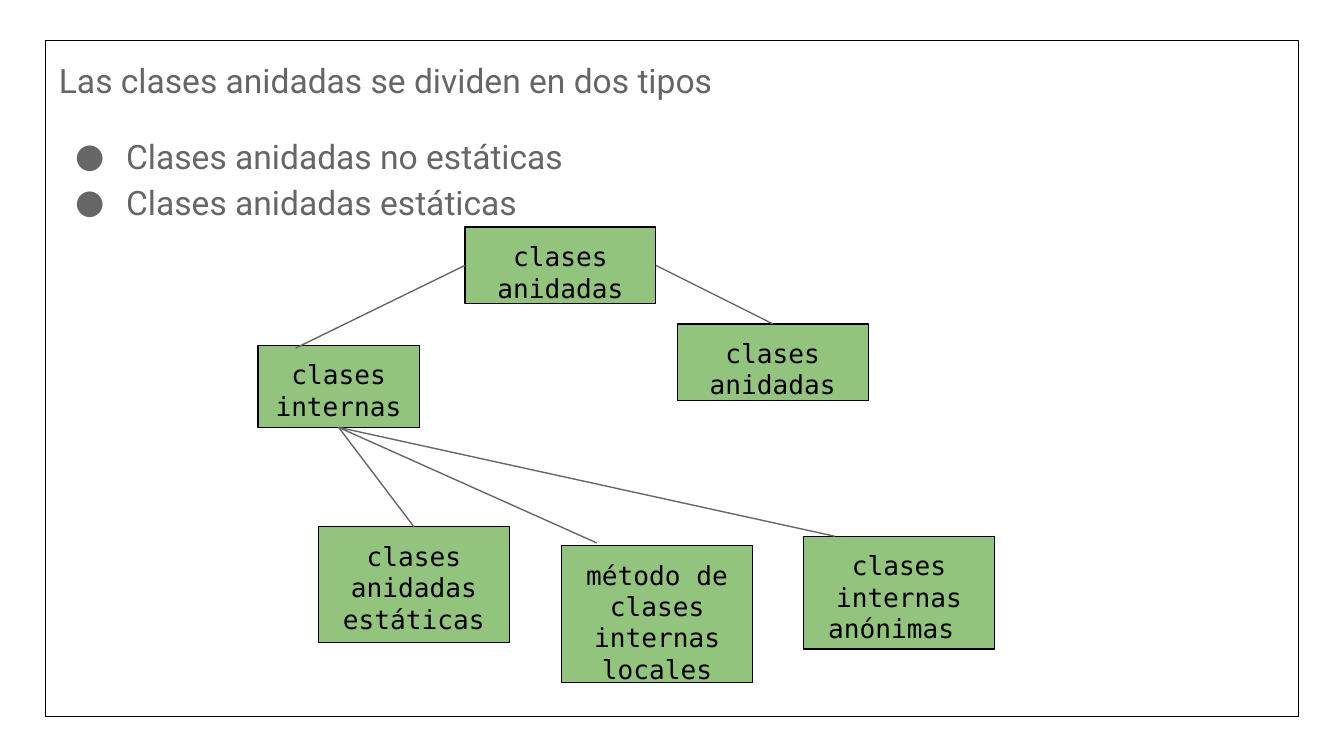
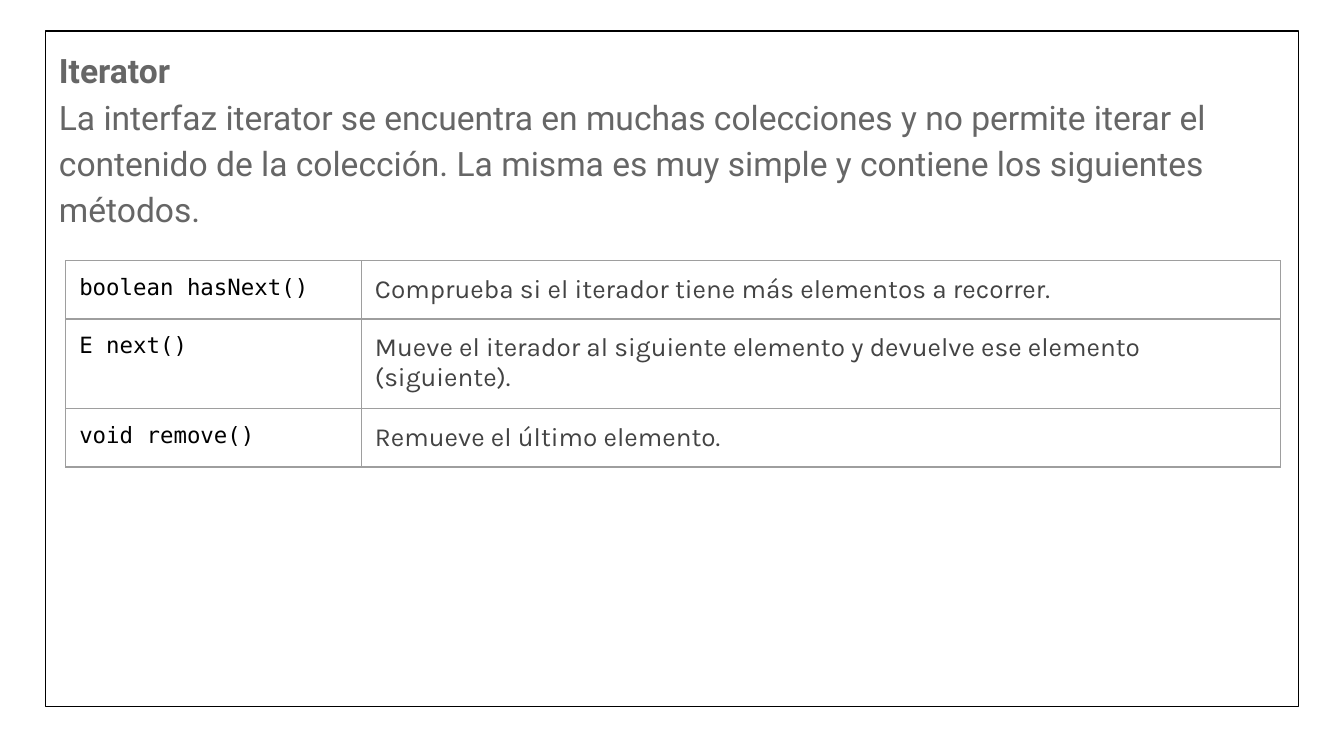
from dataclasses import dataclass
from lxml.etree import SubElement as Sub
from pptx import Presentation
from pptx.dml.color import RGBColor as RGB
from pptx.enum.shapes import MSO_CONNECTOR as CONN, MSO_SHAPE as SHAPE
from pptx.enum.text import MSO_ANCHOR as ANCHOR, PP_ALIGN as ALIGN
from pptx.oxml.ns import qn
from pptx.util import Emu, Inches, Pt

TOP, LEFT, BOTTOM, RIGHT = range(4)


@dataclass(frozen=True)
class Theme:
    ink: str = "000000"
    body: str = "666666"
    detail: str = "434343"
    node: str = "93C47D"
    border: str = "9E9E9E"
    sans: str = "Roboto"
    mono: str = "DejaVu Sans Mono"
    table: str = "Karla"
    body_size: int = 18
    node_size: int = 14
    code_size: int = 12
    line: float = 0.75
    spacing: float = 1.15
    gap: int = 16
    inset: float = 0.1
    columns: int = 100


class Deck:
    def __init__(self, theme):
        self.t = theme
        self.prs = Presentation()
        self.prs.slide_width = Inches(10)
        self.prs.slide_height = Inches(5.625)
        self.unit = self.prs.slide_width / theme.columns
        self.s = None

    def add_slide(self):
        self.s = self.prs.slides.add_slide(self.prs.slide_layouts[6])

    def grid(self, *cells):
        return [Emu(round(c * self.unit)) for c in cells]

    def outline(self, sp, color):
        sp.line.color.rgb = RGB.from_string(color)
        sp.line.width = Pt(self.t.line)

    def frame(self, tf):
        tf.word_wrap = True
        tf.vertical_anchor = ANCHOR.TOP
        tf.margin_left = tf.margin_right = Inches(self.t.inset)
        tf.margin_top = tf.margin_bottom = Inches(self.t.inset)

    def run(self, p, text, font, size, color, bold=False):
        r = p.add_run()
        r.text = text
        r.font.name = font
        r.font.size = Pt(size)
        r.font.bold = bold
        r.font.color.rgb = RGB.from_string(color)

    def paragraphs(self, tf, items):
        for i, item in enumerate(items):
            yield (tf.add_paragraph() if i else tf.paragraphs[0]), item

    def bullet(self, p):
        pPr = p._p.get_or_add_pPr()
        pPr.set("marL", str(Inches(0.5)))
        pPr.set("indent", str(Inches(-0.38)))
        Sub(Sub(pPr, qn("a:buClr")), qn("a:srgbClr"), val=self.t.body)
        Sub(pPr, qn("a:buFont"), typeface=self.t.sans)
        Sub(pPr, qn("a:buChar"), char="●")

    def body(self, y, lines):
        sp = self.s.shapes.add_textbox(*self.grid(3.4, y, 93.2, 50.3))
        self.outline(sp, self.t.ink)
        self.frame(sp.text_frame)
        previous = None
        for p, (kind, text) in self.paragraphs(sp.text_frame, lines):
            if kind == "bullet":
                self.bullet(p)
                if previous != kind:
                    p.space_before = Pt(self.t.gap)
            p.line_spacing = self.t.spacing
            self.run(p, text, self.t.sans, self.t.body_size, self.t.body,
                     kind == "title")
            previous = kind

    def node(self, x, y, h, *lines, w=14.2):
        sp = self.s.shapes.add_shape(SHAPE.RECTANGLE, *self.grid(x, y, w, h))
        sp.shadow.inherit = False
        sp.fill.solid()
        sp.fill.fore_color.rgb = RGB.from_string(self.t.node)
        self.outline(sp, self.t.ink)
        self.frame(sp.text_frame)
        for p, text in self.paragraphs(sp.text_frame, lines):
            p.alignment = ALIGN.CENTER
            self.run(p, text, self.t.mono, self.t.node_size, self.t.ink)
        return sp

    def link(self, start, side, end=None, at=(0, 0)):
        c = self.s.shapes.add_connector(CONN.STRAIGHT, 0, 0, *self.grid(*at))
        c.begin_connect(start, side)
        if end is not None:
            c.end_connect(end, TOP)
        self.outline(c, self.t.body)
        Sub(c._element.spPr, qn("a:effectLst"))

    def cell(self, cell, text, font, size, color):
        self.frame(cell.text_frame)
        cell.margin_left = cell.margin_right = Inches(self.t.inset)
        cell.margin_top = cell.margin_bottom = Inches(self.t.inset)
        self.run(cell.text_frame.paragraphs[0], text, font, size, color)
        tcPr = cell._tc.get_or_add_tcPr()
        for side in "LRTB":
            ln = Sub(tcPr, qn(f"a:ln{side}"), w=str(Pt(self.t.line)))
            Sub(Sub(ln, qn("a:solidFill")), qn("a:srgbClr"), val=self.t.border)
        cell.fill.background()

    def table(self, x, y, widths, row, rows):
        box = self.grid(x, y, sum(widths), row * len(rows))
        tbl = self.s.shapes.add_table(len(rows), len(widths), *box).table
        tbl.first_row = tbl.horz_banding = False
        for col, w in zip(tbl.columns, self.grid(*widths)):
            col.width = w
        t = self.t
        for i, (code, detail) in enumerate(rows):
            self.cell(tbl.cell(i, 0), code, t.mono, t.code_size, t.ink)
            self.cell(tbl.cell(i, 1), detail, t.table, t.node_size, t.detail)


def nested_classes(d):
    d.add_slide()
    d.body(3, [
        ("text", "Las clases anidadas se dividen en dos tipos"),
        ("bullet", "Clases anidadas no estáticas"),
        ("bullet", "Clases anidadas estáticas"),
    ])
    root = d.node(34.6, 16.9, 5.7, "clases anidadas")
    inner = d.node(19.2, 25.7, 6.1, "clases", "internas", w=12)
    nested = d.node(50.4, 24.1, 5.7, "clases anidadas")
    static = d.node(23.7, 39.2, 8.6, "clases anidadas", "estáticas")
    d.node(41.8, 40.6, 10.2, "método de clases internas locales")
    d.node(59.8, 39.9, 8.4, "clases internas anónimas ")
    d.link(root, LEFT, at=(22, 25.9))
    d.link(root, RIGHT, nested)
    d.link(inner, BOTTOM, static)
    for at in ((44.4, 40.4), (62.1, 39.9)):
        d.link(inner, BOTTOM, at=at)


def iterator(d):
    d.add_slide()
    d.body(2.3, [
        ("title", "Iterator"),
        ("text", "La interfaz iterator se encuentra en muchas colecciones y no "
                 "permite iterar el contenido de la colección. La misma es muy "
                 "simple y contiene los siguientes métodos."),
    ])
    d.table(4.9, 19.4, (22, 68.4), 3.9, [
        ("boolean hasNext()",
         "Comprueba si el iterador tiene más elementos a recorrer."),
        ("E next()", "Mueve el iterador al siguiente elemento y devuelve ese "
                     "elemento (siguiente)."),
        ("void remove()", "Remueve el último elemento."),
    ])


def main():
    d = Deck(Theme())
    nested_classes(d)
    iterator(d)
    d.prs.save("out.pptx")


if __name__ == "__main__":
    main()
